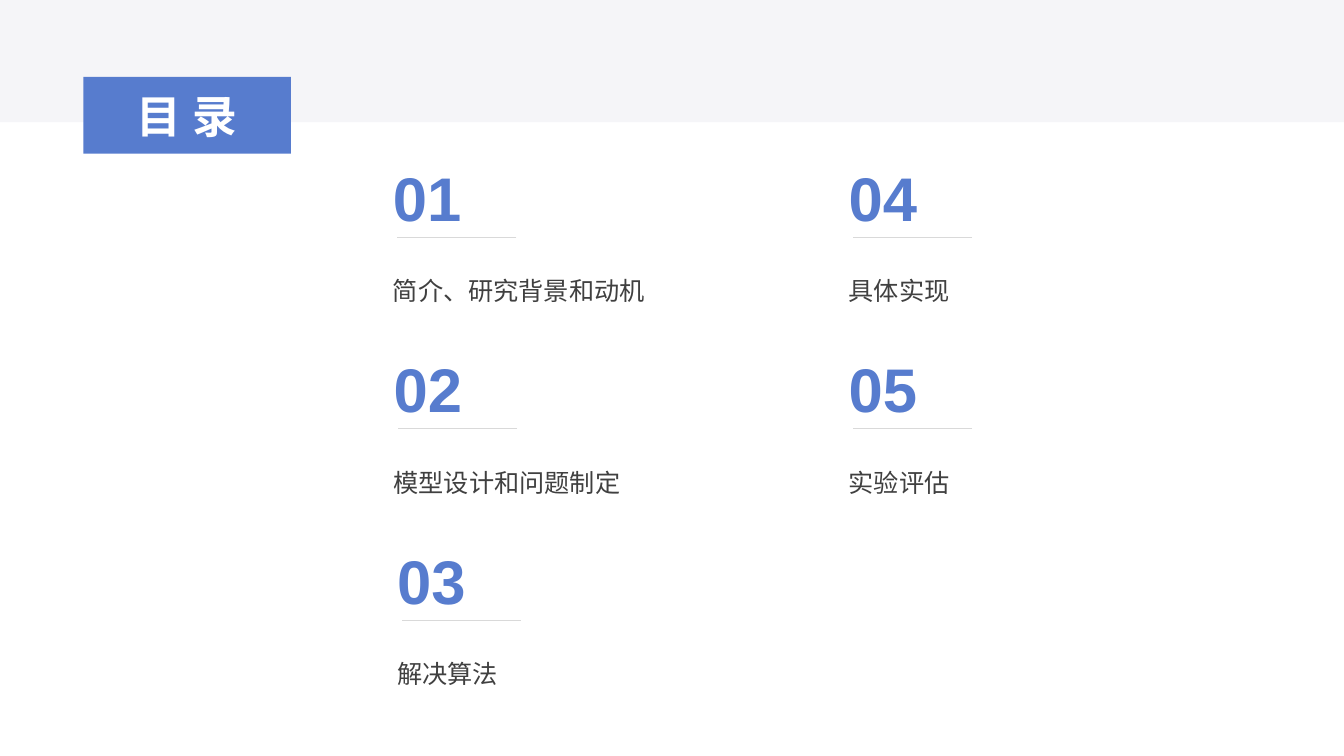
"""Build the contents slide: a header band, a title block and five numbered topics."""
from lxml import etree
from pptx import Presentation
from pptx.dml.color import RGBColor
from pptx.enum.shapes import MSO_CONNECTOR as Connector, MSO_SHAPE as Shape
from pptx.enum.text import MSO_ANCHOR as Anchor, PP_ALIGN as Align
from pptx.oxml.ns import qn
from pptx.util import Cm, Pt

COLORS = {"band": "F5F5F8", "accent": "577CCE", "text": "404040", "rule": "D9D9D9", "white": "FFFFFF"}
ROW_TOP, ROW_PITCH = 3.9, 4.83
TOPICS = [
    ("01", "简介、研究背景和动机", 9.65, 0),
    ("02", "模型设计和问题制定", 9.67, 1),
    ("03", "解决算法", 9.76, 2),
    ("04", "具体实现", 21.14, 0),
    ("05", "实验评估", 21.14, 1),
]


def add_block(left, top, width, height, color):
    block = slide.shapes.add_shape(Shape.RECTANGLE, Cm(left), Cm(top), Cm(width), Cm(height))
    block.shadow.inherit = False
    block.fill.solid()
    block.fill.fore_color.rgb = RGBColor.from_string(COLORS[color])
    block.line.fill.background()
    return block


def add_run(shape, text, size, color, bold=False):
    shape.text_frame.word_wrap = True
    paragraph = shape.text_frame.paragraphs[0]
    run = paragraph.add_run()
    run.text = text
    run.font.name = "Arial"
    run.font.size = Pt(size)
    run.font.bold = bold
    run.font.color.rgb = RGBColor.from_string(COLORS[color])
    return paragraph, run


presentation = Presentation()
presentation.slide_width = Cm(33.87)
presentation.slide_height = Cm(19.05)
slide = presentation.slides.add_slide(presentation.slide_layouts[6])

add_block(0, 0, 33.87, 3.08, "band")

for number, topic, left, row in TOPICS:
    top = ROW_TOP + row * ROW_PITCH

    topic_box = slide.shapes.add_textbox(Cm(left), Cm(top + 2.53), Cm(9), Cm(1.7))
    paragraph, run = add_run(topic_box, topic, 18, "text")
    paragraph.alignment = Align.JUSTIFY
    paragraph.line_spacing = 1.5
    paragraph.space_after = Pt(20)

    number_box = slide.shapes.add_textbox(Cm(left), Cm(top), Cm(2.26), Cm(2.14))
    add_run(number_box, number, 44, "accent", bold=True)
    number_box.text_frame.word_wrap = False

    rule = slide.shapes.add_connector(
        Connector.STRAIGHT, Cm(left + 3.36), Cm(top + 2.07), Cm(left + 0.36), Cm(top + 2.07))
    rule.line.color.rgb = RGBColor.from_string(COLORS["rule"])
    rule.line.width = Pt(0.5)
    etree.SubElement(rule._element.spPr, qn("a:effectLst"))

title = add_block(2.1, 1.94, 5.23, 1.93, "accent")
title.text_frame.vertical_anchor = Anchor.MIDDLE
paragraph, run = add_run(title, "目录", 32, "white", bold=True)
paragraph.alignment = Align.CENTER
run.font._element.set("spc", "800")

presentation.save("out.pptx")
